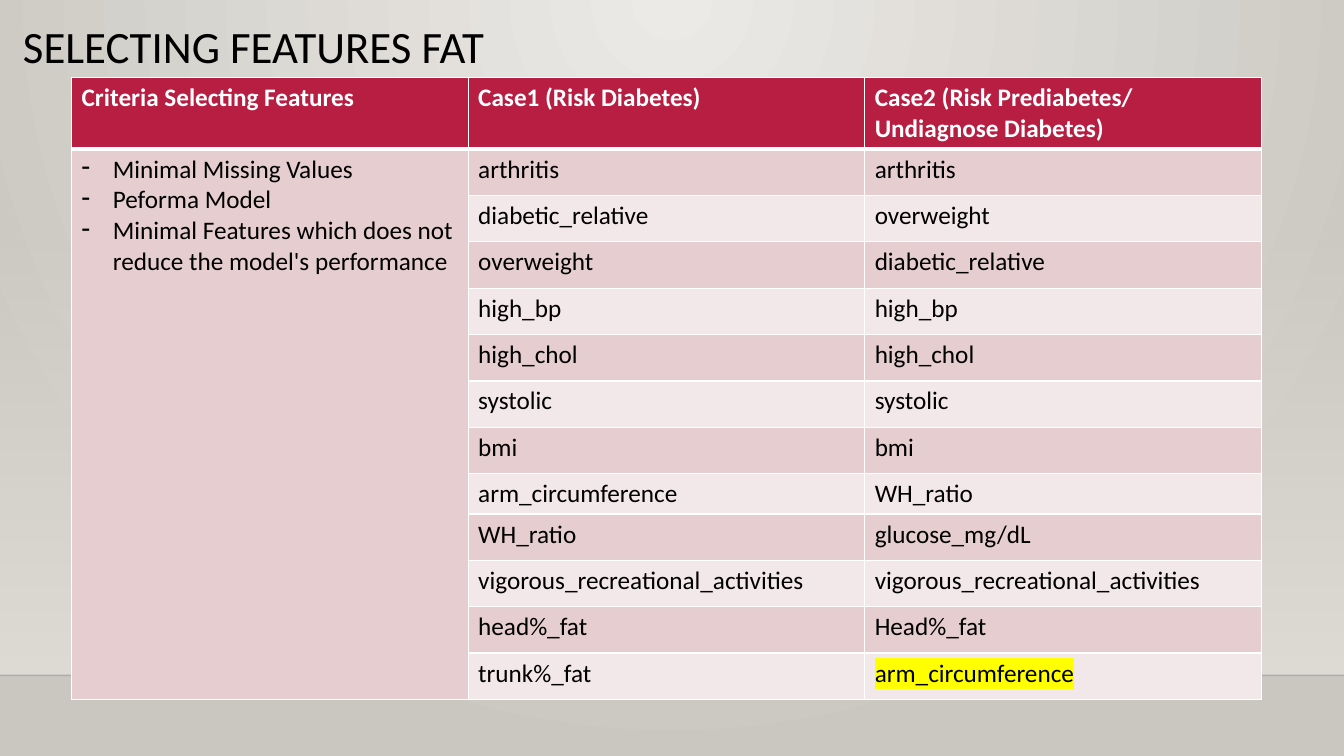
from lxml import etree
from pptx import Presentation
from pptx.dml.color import RGBColor
from pptx.enum.shapes import MSO_CONNECTOR, MSO_SHAPE
from pptx.enum.text import MSO_ANCHOR
from pptx.oxml.ns import qn
from pptx.util import Inches, Pt

STRAIGHT = MSO_CONNECTOR.STRAIGHT
RECTANGLE = MSO_SHAPE.RECTANGLE
TOP = MSO_ANCHOR.TOP

FONT = "Calibri"
WIDTH, HEIGHT = 13.33, 7.5
FLOOR_TOP = 6.7
CRIMSON, WHITE, BLACK = "B71E42", "FFFFFF", "000000"
BANDS = ("E6CDCF", "F3E8E9")
STONE = "DFDBD5"

HEADINGS = (
    "Criteria Selecting Features",
    "Case1 (Risk Diabetes)",
    "Case2 (Risk Prediabetes/ Undiagnose Diabetes)",
)
CRITERIA = (
    "Minimal Missing Values",
    "Peforma Model",
    "Minimal Features which does not reduce the model's performance",
)
FEATURES = (
    ("arthritis", "arthritis"),
    ("diabetic_relative", "overweight"),
    ("overweight", "diabetic_relative"),
    ("high_bp", "high_bp"),
    ("high_chol", "high_chol"),
    ("systolic", "systolic"),
    ("bmi", "bmi"),
    ("arm_circumference", "WH_ratio"),
    ("WH_ratio", "glucose_mg/dL"),
    ("vigorous_recreational_activities", "vigorous_recreational_activities"),
    ("head%_fat", "Head%_fat"),
    ("trunk%_fat", "arm_circumference"),
)
HEADER_HEIGHT, ROW_HEIGHT, TIGHT_HEIGHT = 0.71, 0.46, 0.4
TIGHT_ROW = 8


def color(hex_text):
    return RGBColor.from_string(hex_text)


def add_xml(parent, tag, **attributes):
    return etree.SubElement(parent, qn(tag), attributes)


def set_alpha(parent, percent):
    """Make the first plain colour inside parent partly transparent."""
    add_xml(next(parent.iter(qn("a:srgbClr"))), "a:alpha", val=str(percent * 1000))


def set_gradient(fill, start, end):
    fill.gradient()
    for stop, shade, position in zip(fill.gradient_stops, (start, end), (0, 1)):
        stop.color.rgb = color(shade)
        stop.position = position


def style(paragraph, size, shade, bold=False):
    font = paragraph.font
    font.name, font.size, font.bold = FONT, Pt(size), bold
    font.color.rgb = color(shade)


def paint_background(page):
    set_gradient(page.background.fill, "ECEAE7", "CAC7C1")
    gradient = next(page.element.iter(qn("a:gradFill")))
    gradient.remove(gradient.find(qn("a:lin")))
    glow = add_xml(gradient, "a:path", path="circle")
    add_xml(glow, "a:fillToRect", l="43000", t="0", r="43000", b="100000")


def add_wall(page, left, top, width, height):
    """Add the fading wall and the floor line along its foot."""
    wall = page.shapes.add_shape(
        RECTANGLE, Inches(left), Inches(top), Inches(width), Inches(height))
    wall.shadow.inherit = False
    wall.line.fill.background()
    set_gradient(wall.fill, STONE, STONE)
    wall.fill.gradient_angle = 270
    set_alpha(wall.element.spPr, 0)

    foot = Inches(top + height)
    floor = page.shapes.add_connector(
        STRAIGHT, Inches(left), foot, Inches(left + width), foot)
    floor.line.width = Pt(1)
    floor.line.color.rgb = color("000001")
    set_alpha(floor.element.spPr, 20)
    add_xml(floor.element.spPr, "a:effectLst")


def add_title(page, left, top, width, height):
    box = page.shapes.add_textbox(
        Inches(left), Inches(top), Inches(width), Inches(height))
    frame = box.text_frame
    frame.word_wrap = True
    frame.vertical_anchor = TOP
    para = frame.paragraphs[0]
    para.text = "SELECTING FEATURES FAT"
    para.line_spacing = 0.9
    style(para, 32, BLACK)


def paint_cell(cell, fill, top_width=1, bottom_width=1):
    properties = cell._tc.get_or_add_tcPr()
    widths = {"L": 1, "R": 1, "T": top_width, "B": bottom_width}
    for side, width in widths.items():
        border = add_xml(properties, f"a:ln{side}", w=str(Pt(width)))
        add_xml(add_xml(border, "a:solidFill"), "a:srgbClr", val=WHITE)
    cell.fill.solid()
    cell.fill.fore_color.rgb = color(fill)


def add_dash(paragraph):
    properties = paragraph._p.get_or_add_pPr()
    indent = Inches(0.31)
    properties.set("marL", str(indent))
    properties.set("indent", str(-indent))
    bullet = etree.Element(qn("a:buChar"), char="-")
    properties.find(qn("a:defRPr")).addprevious(bullet)


def highlight(span, shade):
    mark = add_xml(span.font._element, "a:highlight")
    add_xml(mark, "a:srgbClr", val=shade)


def add_feature_table(page, left, top, width):
    row_count, column_count = len(FEATURES) + 1, len(HEADINGS)
    heights = [HEADER_HEIGHT] + [ROW_HEIGHT] * len(FEATURES)
    heights[TIGHT_ROW] = TIGHT_HEIGHT
    table = page.shapes.add_table(
        row_count, column_count, Inches(left), Inches(top),
        Inches(width), Inches(sum(heights))).table
    for row, height in zip(table.rows, heights):
        row.height = Inches(height)
    table.cell(1, 0).merge(table.cell(row_count - 1, 0))

    for column, heading in enumerate(HEADINGS):
        cell = table.cell(0, column)
        cell.text = heading
        style(cell.text_frame.paragraphs[0], 18, WHITE, bold=True)
        paint_cell(cell, CRIMSON, bottom_width=3)

    for index, features in enumerate(FEATURES):
        texts = ("\n".join(CRITERIA) if index == 0 else "",) + features
        for column, text in enumerate(texts):
            cell = table.cell(index + 1, column)
            if text:
                cell.text = text
            for para in cell.text_frame.paragraphs:
                style(para, 18, BLACK)
                if column == 0 and text:
                    add_dash(para)
            band = BANDS[0] if column == 0 else BANDS[index % 2]
            paint_cell(cell, band, top_width=3 if index == 0 else 1)

    last_cell = table.cell(row_count - 1, column_count - 1)
    highlight(last_cell.text_frame.paragraphs[0].runs[0], "FFFF00")


def main():
    deck = Presentation()
    deck.slide_width, deck.slide_height = Inches(WIDTH), Inches(HEIGHT)
    page = deck.slides.add_slide(deck.slide_layouts[6])
    paint_background(page)
    add_wall(page, 0, 2.21, WIDTH, FLOOR_TOP - 2.21)
    add_title(page, 0.13, 0.2, 10.5, 1.15)
    add_feature_table(page, 0.71, 0.77, 11.8)
    deck.save("out.pptx")


if __name__ == "__main__":
    main()
